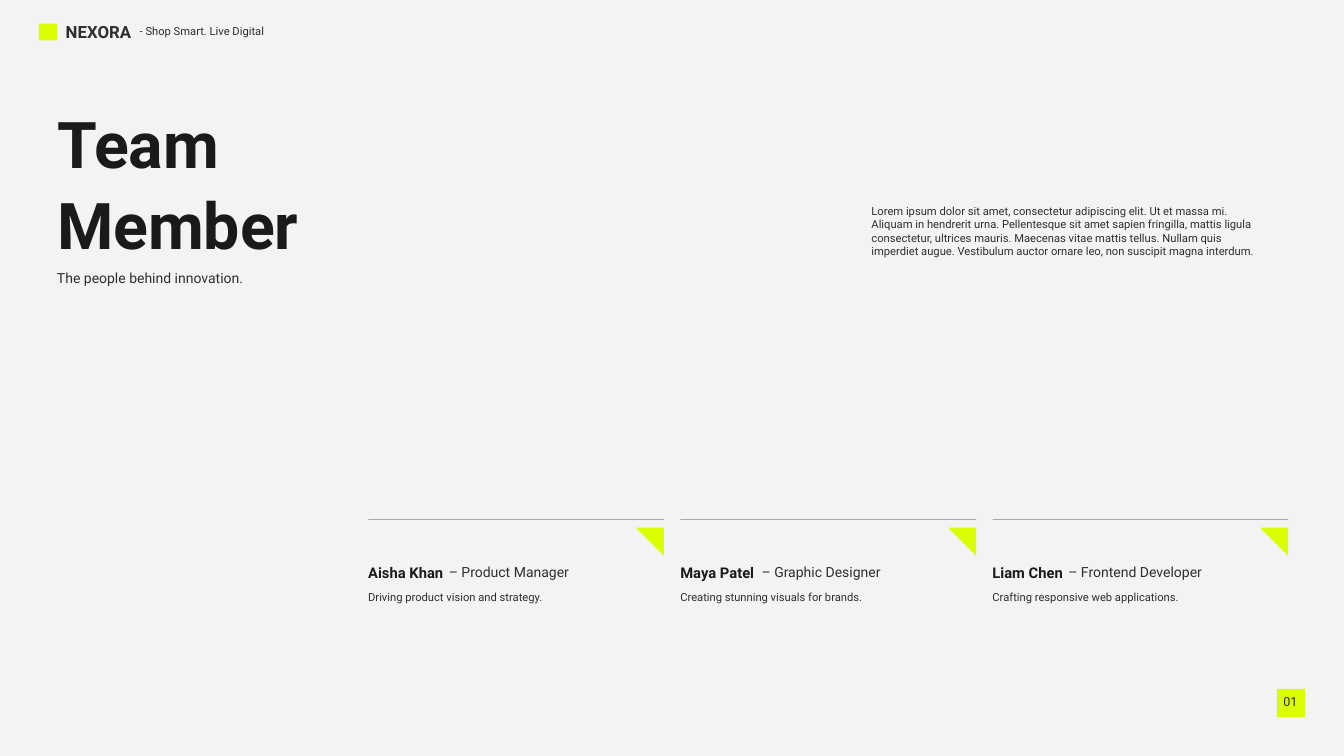
from lxml import etree
from pptx import Presentation
from pptx import util as u
from pptx.dml.color import RGBColor
from pptx.enum import shapes, text
from pptx.oxml.ns import qn

LIME = RGBColor(0xD9, 0xFF, 0x00)
INK = RGBColor(0x1A, 0x1A, 0x1A)
GREY = RGBColor(0x2E, 0x2E, 0x2E)
BLACK = RGBColor(0, 0, 0)
PAPER = RGBColor(0xF3, 0xF3, 0xF3)

TITLE = [("Team", 1.5, 2.95, 1.26), ("Member", 2.71, 4.12, 1.31)]
LEAD = "The people behind innovation."
BRAND = "NEXORA"
MOTTO = "- Shop Smart. Live Digital"
PAGE = "01"
BODY = [
    "Lorem ipsum dolor sit amet, consectetur adipiscing elit. Ut et massa mi.",
    "Aliquam in hendrerit urna. Pellentesque sit amet sapien fringilla, mattis ligula",
    "consectetur, ultrices mauris. Maecenas vitae mattis tellus. Nullam quis",
    "imperdiet augue. Vestibulum auctor ornare leo, non suscipit magna interdum.",
]
TEAM = [
    ("Aisha Khan", 1.37, "– Product Manager", 2.08,
     "Driving product vision and strategy.", 3.01),
    ("Maya Patel", 1.38, "– Graphic Designer", 2.09,
     "Creating stunning visuals for brands.", 3.07),
    ("Liam Chen", 1.3, "– Frontend Developer", 2.37,
     "Crafting responsive web applications.", 3.22),
]

WIDE, HIGH = 20, 11.25
LEFT, COL, GAP = 5.48, 4.4, 0.245
RULE, MARK, INSET = 7.73, 0.42, 0.1
OVERLAP = 0.17

deck = Presentation()
deck.slide_width, deck.slide_height = u.Inches(WIDE), u.Inches(HIGH)
slide = deck.slides.add_slide(deck.slide_layouts[6])
slide.background.fill.solid()
slide.background.fill.fore_color.rgb = PAPER


def write(lines, x, y, w, h, size, color=GREY, bold=False, wrap=False):
    box = slide.shapes.add_textbox(*map(u.Inches, (x, y, w, h)))
    frame = box.text_frame
    frame.word_wrap = wrap
    frame.auto_size = text.MSO_AUTO_SIZE.SHAPE_TO_FIT_TEXT
    frame.text = "\n".join(lines)
    for para in frame.paragraphs:
        font = para.font
        font.name, font.size, font.bold = "Roboto", u.Pt(size), bold
        font.color.rgb = color


def block(kind, x, y, w, h):
    shape = slide.shapes.add_shape(kind, *map(u.Inches, (x, y, w, h)))
    shape.shadow.inherit = False
    shape.fill.solid()
    shape.fill.fore_color.rgb = LIME
    shape.line.fill.background()
    return shape


def rule(x, y, w):
    line = slide.shapes.add_connector(
        shapes.MSO_CONNECTOR.STRAIGHT, *map(u.Inches, (x, y, x + w, y)))
    line.line.width = u.Pt(0.75)
    line.line.color.rgb = BLACK
    props = line._element.spPr
    tint = props.find(".//" + qn("a:srgbClr"))
    etree.SubElement(tint, qn("a:alpha"), val="30000")
    etree.SubElement(props, qn("a:effectLst"))


for word, y, w, h in TITLE:
    write([word], 0.75, y, w, h, 69, INK, True)
write([LEAD], 0.75, 3.96, 3.2, 0.35, 15)

for i, (name, wide, role, span, note, reach) in enumerate(TEAM):
    x = LEFT + i * (COL + GAP)
    rule(x, RULE, COL)
    corner = block(shapes.MSO_SHAPE.RIGHT_TRIANGLE,
                   x + COL - MARK, RULE + 0.12, MARK, MARK)
    corner.rotation = 180
    edge = x - INSET
    write([name], edge, 8.34, wide, 0.37, 15.8, INK, True)
    write([role], edge + wide - OVERLAP, 8.34, span, 0.35, 15)
    write([note], edge, 8.74, reach, 0.3, 12)

block(shapes.MSO_SHAPE.RECTANGLE, 0.58, 0.35, 0.27, 0.25)
write([BRAND], 0.88, 0.27, 1.27, 0.4, 18, bold=True)
write([MOTTO], 1.98, 0.32, 2.18, 0.3, 12)

block(shapes.MSO_SHAPE.RECTANGLE, 19, 10.25, MARK, MARK)
write([PAGE], 19, 10.28, 0.41, 0.34, 13.5)
write(BODY, 12.87, 2.99, 6.63, 0.91, 12, wrap=True)

deck.save("out.pptx")
